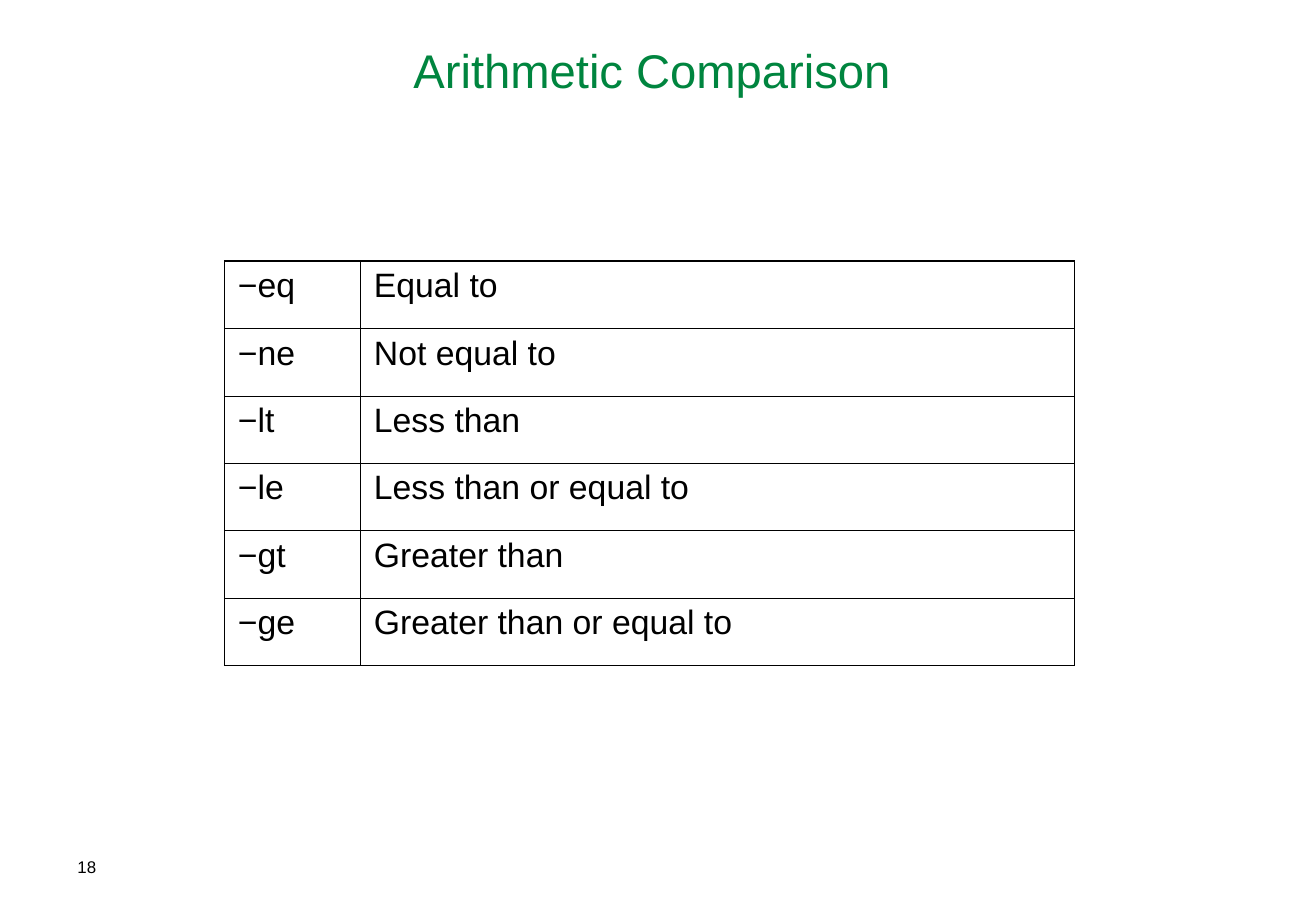
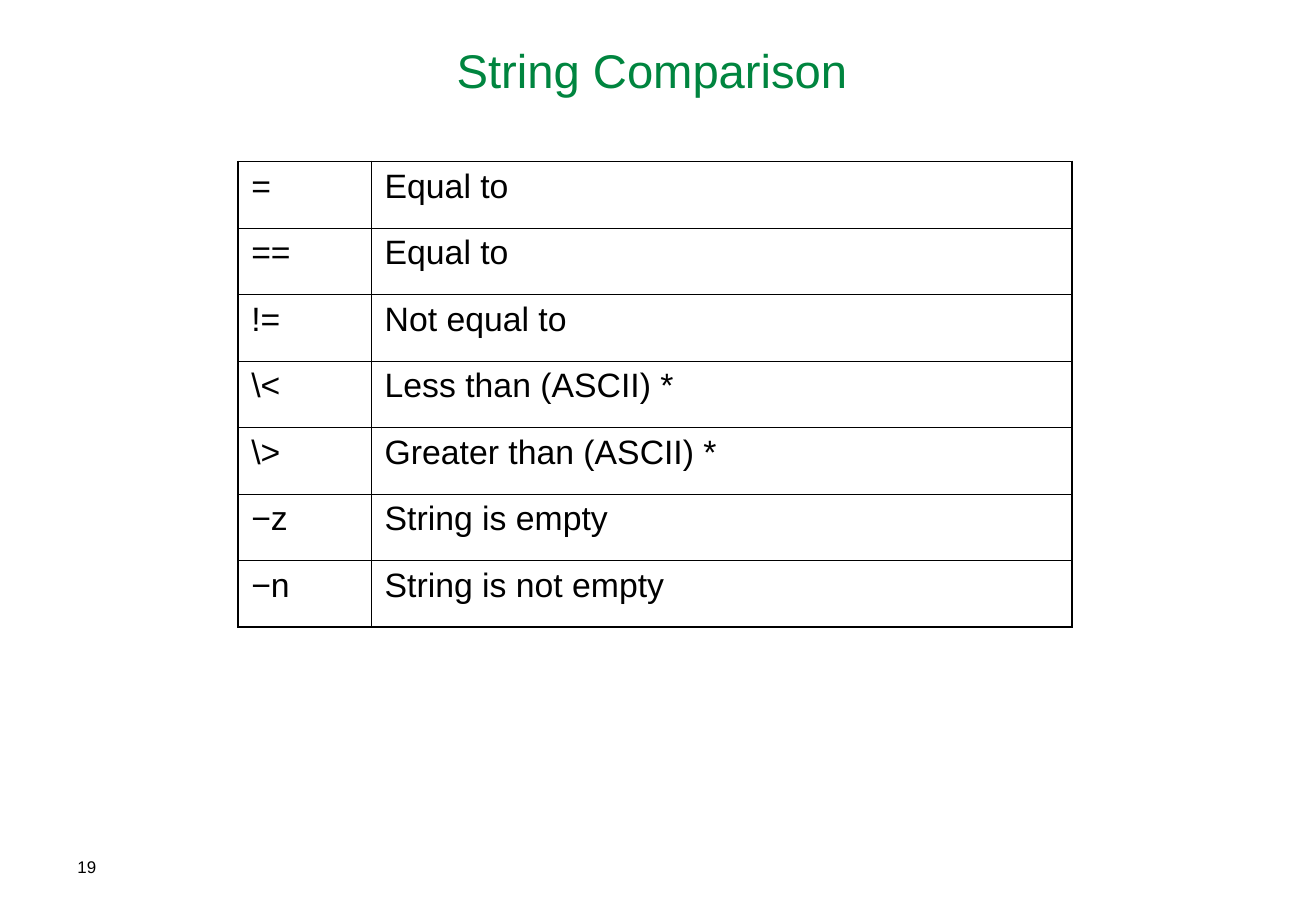
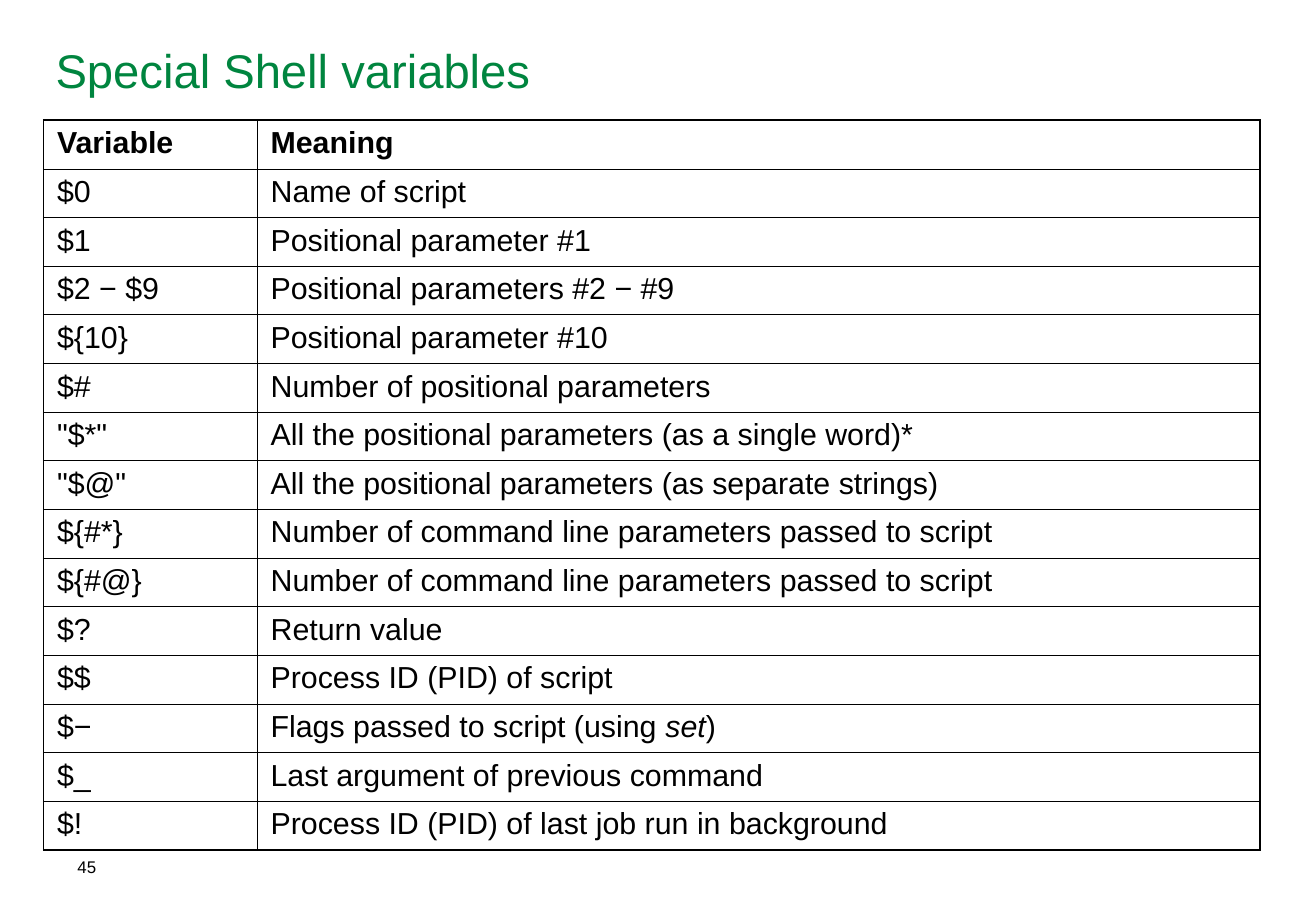
from dataclasses import dataclass
from typing import Any

from lxml.etree import SubElement
from pptx import Presentation
from pptx.dml.color import RGBColor
from pptx.enum.text import MSO_ANCHOR as Anchor, PP_ALIGN as Align
from pptx.oxml.ns import qn
from pptx.util import Emu, Inches, Pt

SLIDE_WIDTH, SLIDE_HEIGHT = Inches(10.84), Inches(7.5)
COLORS = {"title": "00853F", "text": "000000", "border": "000000"}
FONT = "Arial"
OUTER_BORDER, INNER_BORDER = Pt(1.08), Pt(0.45)


@dataclass(frozen=True)
class Run:
    text: str
    italic: bool = False


Text = str | tuple[Run, ...]


@dataclass(frozen=True)
class Box:
    """A place on the slide, in percent of the slide's width and height."""
    left: float
    top: float
    width: float
    height: float

    def lengths(self) -> tuple[Emu, Emu, Emu, Emu]:
        return (across(self.left), down(self.top),
                across(self.width), down(self.height))


@dataclass(frozen=True)
class TableSlide:
    """The table's lengths are in percent of the slide, first_column of the table."""
    number: int
    title: str
    left: float
    top: float
    width: float
    row_height: float
    first_column: float
    rows: tuple[tuple[Text, Text], ...]
    size: float = 20
    title_align: Align = Align.CENTER
    has_header: bool = False


TITLE_BOX = Box(3.32, 3.33, 92.44, 11.07)
NUMBER_BOX = Box(4.98, 93.33, 4.98, 3.6)

SLIDES = (
    TableSlide(
        18, "Arithmetic Comparison",
        left=17.07, top=28.67, width=64.58, row_height=7.4, first_column=16,
        rows=(
            ("−eq", "Equal to"),
            ("−ne", "Not equal to"),
            ("−lt", "Less than"),
            ("−le", "Less than or equal to"),
            ("−gt", "Greater than"),
            ("−ge", "Greater than or equal to"),
        ),
    ),
    TableSlide(
        19, "String Comparison",
        left=18.08, top=17.73, width=63.38, row_height=7.3, first_column=16,
        rows=(
            ("=", "Equal to"),
            ("==", "Equal to"),
            ("!=", "Not equal to"),
            ("\\<", "Less than (ASCII) *"),
            ("\\>", "Greater than (ASCII) *"),
            ("−z", "String is empty"),
            ("−n", "String is not empty"),
        ),
    ),
    TableSlide(
        45, "Special Shell variables",
        left=3.32, top=13.2, width=92.44, row_height=5.33, first_column=17.56,
        size=18, title_align=Align.LEFT, has_header=True,
        rows=(
            ("Variable", "Meaning"),
            ("$0", "Name of script"),
            ("$1", "Positional parameter #1"),
            ("$2 − $9", "Positional parameters #2 − #9"),
            ("${10}", "Positional parameter #10"),
            ("$#", "Number of positional parameters"),
            ('"$*"', "All the positional parameters (as a single word)*"),
            ('"$@"', "All the positional parameters (as separate strings)"),
            ("${#*}", "Number of command line parameters passed to script"),
            ("${#@}", "Number of command line parameters passed to script"),
            ("$?", "Return value"),
            ("$$", "Process ID (PID) of script"),
            ("$−", (Run("Flags passed to script (using "),
                    Run("set", italic=True), Run(")"))),
            ("$_", "Last argument of previous command"),
            ("$!", "Process ID (PID) of last job run in background"),
        ),
    ),
)


def across(percent: float) -> Emu:
    return Emu(round(SLIDE_WIDTH * percent / 100))


def down(percent: float) -> Emu:
    return Emu(round(SLIDE_HEIGHT * percent / 100))


def write_text(frame: Any, text: Text, *, size: float, color: str = "text",
               bold: bool = False, align: Align = Align.LEFT,
               space_before: float = 0) -> None:
    paragraph = frame.paragraphs[0]
    paragraph.alignment = align
    paragraph.space_before = Pt(space_before)
    for part in (Run(text),) if isinstance(text, str) else text:
        run = paragraph.add_run()
        run.text = part.text
        run.font.name = FONT
        run.font.size = Pt(size)
        run.font.bold = bold
        run.font.italic = part.italic
        run.font.color.rgb = RGBColor.from_string(COLORS[color])


def add_text_box(slide: Any, box: Box, text: str, *, top_inset: float = 0.05,
                 **text_format: Any) -> None:
    frame = slide.shapes.add_textbox(*box.lengths()).text_frame
    frame.word_wrap = True
    frame.vertical_anchor = Anchor.TOP
    frame.margin_top = Inches(top_inset)
    write_text(frame, text, **text_format)


def set_borders(cell: Any, widths: dict[str, Emu]) -> None:
    """Draw the cell's sides; the schema wants the lines ahead of the fill."""
    properties = cell._tc.get_or_add_tcPr()
    for position, (side, width) in enumerate(widths.items()):
        line = SubElement(properties, qn(f"a:ln{side}"), w=str(width))
        fill = SubElement(line, qn("a:solidFill"))
        SubElement(fill, qn("a:srgbClr"), val=COLORS["border"])
        properties.insert(position, line)


def add_grid_table(slide: Any, content: TableSlide) -> None:
    row_count, column_count = len(content.rows), len(content.rows[0])
    box = Box(content.left, content.top, content.width,
              content.row_height * row_count)
    table = slide.shapes.add_table(row_count, column_count, *box.lengths()).table
    table.first_row = content.has_header
    table.horz_banding = False
    first_width = content.width * content.first_column / 100
    for column, width in zip(table.columns,
                             (first_width, content.width - first_width)):
        column.width = across(width)

    for row_index, row in enumerate(content.rows):
        table.rows[row_index].height = down(content.row_height)
        for column_index, text in enumerate(row):
            cell = table.cell(row_index, column_index)
            cell.fill.background()
            cell.vertical_anchor = Anchor.TOP
            cell.margin_left = cell.margin_right = Inches(0.11)
            cell.margin_top = cell.margin_bottom = Inches(0.05)
            write_text(cell.text_frame, text, size=content.size,
                       bold=content.has_header and row_index == 0,
                       space_before=content.size / 4)
            on_edge = {
                "L": column_index == 0,
                "R": column_index == column_count - 1,
                "T": row_index == 0,
                "B": row_index == row_count - 1,
            }
            set_borders(cell, {side: OUTER_BORDER if outer else INNER_BORDER
                               for side, outer in on_edge.items()})


def add_table_slide(presentation: Any, content: TableSlide) -> None:
    slide = presentation.slides.add_slide(presentation.slide_layouts[6])
    add_text_box(slide, NUMBER_BOX, str(content.number), size=10)
    add_text_box(slide, TITLE_BOX, content.title, top_inset=0.09, size=28,
                 color="title", align=content.title_align)
    add_grid_table(slide, content)


def main() -> None:
    presentation = Presentation()
    presentation.slide_width = SLIDE_WIDTH
    presentation.slide_height = SLIDE_HEIGHT
    for content in SLIDES:
        add_table_slide(presentation, content)
    presentation.save("out.pptx")


if __name__ == "__main__":
    main()
